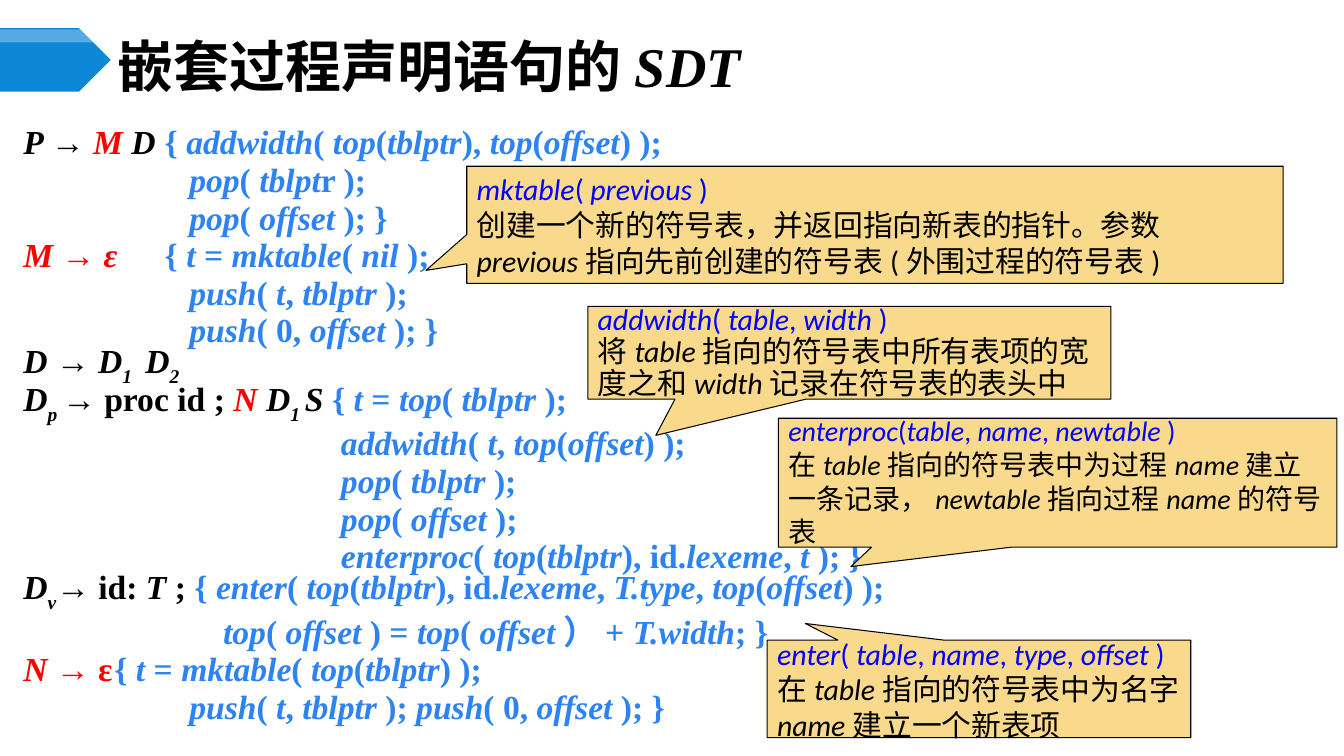
from lxml.etree import SubElement
from pptx import Presentation
from pptx.dml.color import RGBColor
from pptx.enum.shapes import MSO_SHAPE as SHAPE
from pptx.enum.text import MSO_ANCHOR as ANCHOR, MSO_AUTO_SIZE as AUTO, PP_ALIGN as ALIGN
from pptx.oxml.ns import qn
from pptx.util import Cm, Pt

BLACK = RGBColor(0x00, 0x00, 0x00)
WHITE = RGBColor(0xFF, 0xFF, 0xFF)
RED = RGBColor(0xFF, 0x00, 0x00)
CODE_BLUE = RGBColor(0x2D, 0x83, 0xF4)
CALL_BLUE = RGBColor(0x00, 0x00, 0xFF)
BANNER = RGBColor(0x0B, 0x87, 0xD6)
SAND = RGBColor(0xF9, 0xD9, 0x8C)

SERIF, SANS, CJK = "Times New Roman", "Calibri", "Noto Sans CJK SC"
COLOURS = {"$": BLACK, "#": RED, "@": CODE_BLUE, "^": CALL_BLUE}

HEAD, ACTION, UPDATE, PROC = 1.02, 4.18, 5.03, 8.0  # left margins, cm
RULES = [
    (HEAD, "$*P *→ #*M $D\t@*{ *addwidth*( *top*(*tblptr*), *top*(*offset*) );"),
    (ACTION, "@*pop*( *tblpt*r );"),
    (ACTION, "@*pop*( *offset *); }"),
    (HEAD, "#*M *→ *ε\t*@{ *t *= *mktable*( *nil *);"),
    (ACTION, "@*push*( *t*, *tblptr* );"),
    (ACTION, "@*push*( 0, *offset* ); }"),
    (HEAD, "$*D *→ *D_1 _ D_2_"),
    (HEAD, "$*D_p _*→ proc id ; #*N $D_1 _S *@{* t *= *top*( *tblptr* );"),
    (PROC, "@*addwidth*( *t*, *top*(*offset*) );"),
    (PROC, "@*pop*( *tblptr* );"),
    (PROC, "@*pop*( *offset* );"),
    (PROC, "@*enterproc*( *top*(*tblptr*), id.*lexeme*, *t* ); }"),
    (HEAD, "$*D_v_*→ id: *T* ; @{ *enter*( *top*(*tblptr*), id.*lexeme*, "
           "*T.type*, *top*(*offset*) );"),
    (UPDATE, "@*top*( *offset* ) = *top*( *offset*）+ *T.width*; }"),
    (HEAD, "#*N *→ ε\t@{* t *= *mktable*( *top*(*tblptr*) );"),
    (ACTION, "@*push*( *t*, *tblptr* ); *push*( 0, *offset* ); }"),
]

# box (cm), pointer tip, text size, line spacing of both paragraphs, texts
CALLOUTS = [
    ((11.76, 4.19, 20.57, 2.95), (-0.55, 0.39), 21.3, (1, 1),
     "^*mktable*(* previous* )",
     "$创建一个新的符号表，并返回指向新表的指针。参数 *previous*"
     "指向先前创建的符号表(外围过程的符号表)"),
    ((19.33, 16.13, 10.67, 2.46), (-0.41, -0.67), 21.3, (1, 1),
     "^*enter*( *table*, *name*, *type*, *offset* )",
     "$在*table*指向的符号表中为名字*name*建立一个新表项"),
    ((14.81, 7.72, 13.18, 2.34), (-0.37, 0.89), 21.3, (0.9, 0.9),
     "^*addwidth*( *table*, *width* )",
     "$将*table*指向的符号表中所有表项的宽度之和*width*记录在符号表的表头中"),
    ((19.61, 10.54, 14.07, 3.25), (-0.37, 0.65), 20, (0.9, 1),
     "^*enterproc*(*table*, *name*, *newtable* )",
     "$在*table*指向的符号表中为过程*name*建立一条记录，"
     "*newtable*指向过程*name*的符号表"),
]


def set_all(target, values):
    for name, value in values.items():
        setattr(target, name, value)


class Deck:
    def __init__(self):
        self.prs = Presentation()
        set_all(self.prs, {"slide_width": Cm(33.86), "slide_height": Cm(19.05)})
        self.s = self.prs.slides.add_slide(self.prs.slide_layouts[1])

    def add_runs(self, p, text, **font):
        """Add runs: * toggles italic, _ toggles subscript, COLOURS keys set the colour."""
        italic, sub, colour, part = False, False, BLACK, ""
        for ch in text + "$":
            if ch not in COLOURS and ch not in "*_":
                part += ch
                continue
            if part:
                r = p.add_run()
                r.text = part
                set_all(r.font, {**font, "italic": italic})
                r.font.color.rgb = colour
                rPr = r._r.get_or_add_rPr()
                SubElement(rPr, qn("a:ea"), typeface=CJK)
                if sub:
                    rPr.set("baseline", "-30000")
                part = ""
            if ch == "*":
                italic = not italic
            elif ch == "_":
                sub = not sub
            else:
                colour = COLOURS[ch]

    def frame(self, shape, box, anchor):
        """Place a placeholder and return its text frame."""
        set_all(shape, dict(zip(("left", "top", "width", "height"), map(Cm, box))))
        tf = shape.text_frame
        set_all(tf, {"word_wrap": True, "auto_size": AUTO.NONE, "vertical_anchor": anchor,
                     "margin_left": Cm(0.18), "margin_right": Cm(0.18),
                     "margin_top": Cm(0.1), "margin_bottom": Cm(0.1)})
        return tf

    def title(self, chinese, latin):
        tf = self.frame(self.s.shapes.title, (2.79, 0.99, 29.36, 1.32), ANCHOR.MIDDLE)
        p = tf.paragraphs[0]
        p.alignment = ALIGN.LEFT
        self.add_runs(p, chinese, name=CJK, size=Pt(40), bold=True)
        self.add_runs(p, latin, name=SERIF, size=Pt(40), bold=True)

    def rules(self, rules):
        tf = self.frame(self.s.placeholders[1], (0.41, 3.12, 26.26, 16.54), ANCHOR.TOP)
        for i, (margin, text) in enumerate(rules):
            p = tf.add_paragraph() if i else tf.paragraphs[0]
            set_all(p, {"alignment": ALIGN.LEFT, "line_spacing": Pt(24),
                        "space_before": Pt(2.9 if i else 0)})
            pPr = p._p.get_or_add_pPr()
            pPr.set("marL", str(Cm(margin)))
            pPr.set("indent", str(-Cm(HEAD) if margin == HEAD else 0))
            SubElement(pPr, qn("a:buNone"))
            self.add_runs(p, text, name=SERIF, size=Pt(24), bold=True)

    def shape(self, kind, box, fill, line=None, alpha=None):
        sp = self.s.shapes.add_shape(kind, *map(Cm, box))
        sp.shadow.inherit = False
        sp.fill.solid()
        sp.fill.fore_color.rgb = fill
        if alpha:
            colour = sp._element.spPr.find(qn("a:solidFill"))[0]
            SubElement(colour, qn("a:alpha"), val=str(alpha * 1000))
        if line is None:
            sp.line.fill.background()
        else:
            sp.line.color.rgb = line
            sp.line.width = Pt(0.75)
        return sp

    def callout(self, box, tip, size, spacings, *texts):
        sp = self.shape(SHAPE.RECTANGULAR_CALLOUT, box, SAND, BLACK)
        sp.adjustments[0], sp.adjustments[1] = tip
        tf = sp.text_frame
        set_all(tf, {"word_wrap": True, "vertical_anchor": ANCHOR.MIDDLE})
        for i, (text, spacing) in enumerate(zip(texts, spacings)):
            p = tf.add_paragraph() if i else tf.paragraphs[0]
            set_all(p, {"alignment": ALIGN.LEFT, "line_spacing": float(spacing)})
            self.add_runs(p, text, name=SANS, size=Pt(size))


def main():
    deck = Deck()
    deck.shape(SHAPE.PENTAGON, (0, 0.71, 2.79, 1.6), BANNER)
    deck.shape(SHAPE.PENTAGON, (0, 0.74, 2.79, 0.33), WHITE, alpha=30)
    deck.title("嵌套过程声明语句的", "*SDT*")
    deck.rules(RULES)
    for callout in CALLOUTS:
        deck.callout(*callout)
    deck.prs.save("out.pptx")


if __name__ == "__main__":
    main()
